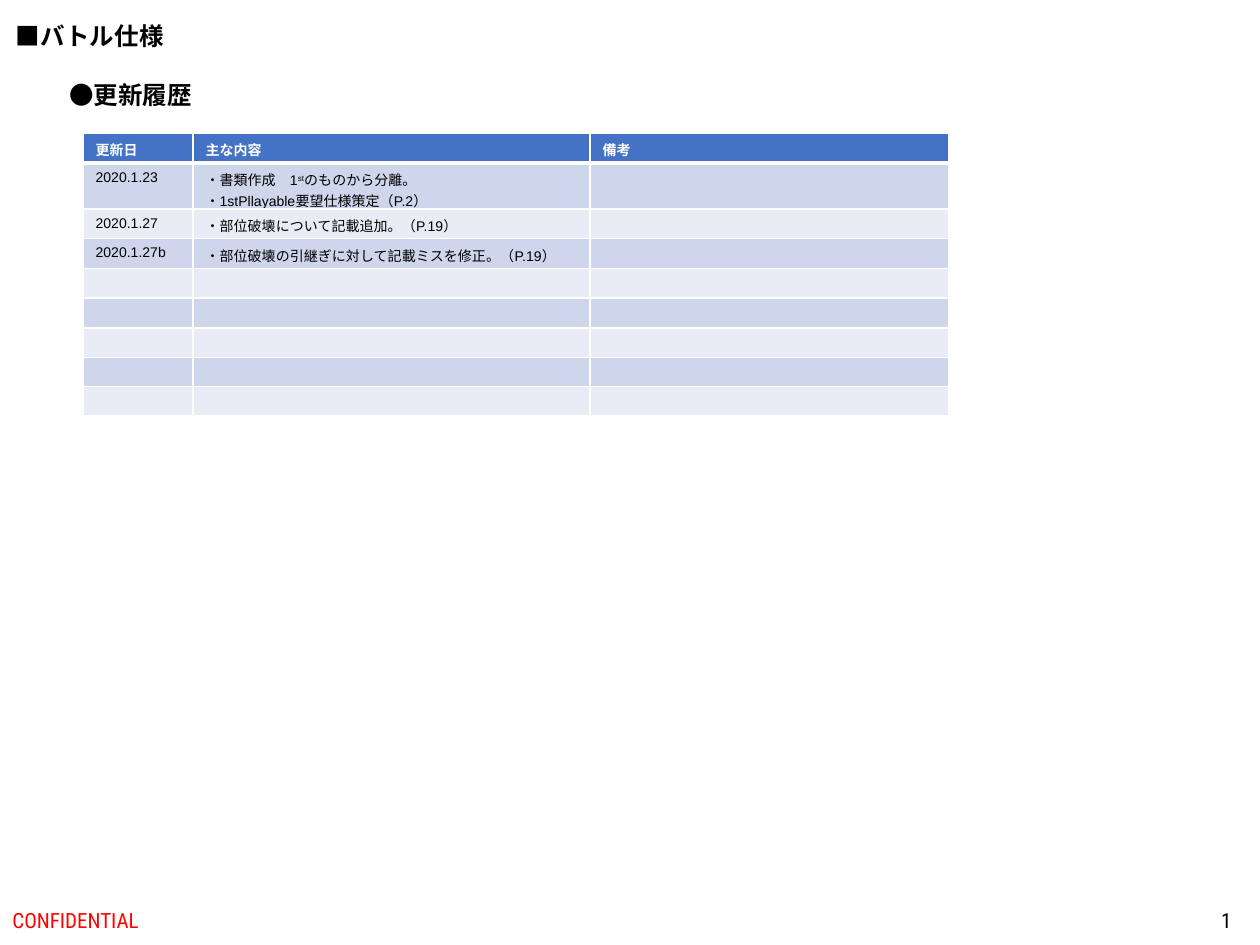
from lxml import etree
from pptx import Presentation
from pptx.dml.color import RGBColor
from pptx.enum.text import MSO_ANCHOR, MSO_AUTO_SIZE, PP_ALIGN
from pptx.oxml.ns import qn
from pptx.util import Pt

PX = 914400 // 126
TOP, MIDDLE = MSO_ANCHOR.TOP, MSO_ANCHOR.MIDDLE
LEFT, RIGHT = PP_ALIGN.LEFT, PP_ALIGN.RIGHT
FIT_SHAPE, FIT_NONE = MSO_AUTO_SIZE.SHAPE_TO_FIT_TEXT, MSO_AUTO_SIZE.NONE

BLACK = RGBColor(0x00, 0x00, 0x00)
WHITE = RGBColor(0xFF, 0xFF, 0xFF)
RED = RGBColor(0xFF, 0x00, 0x00)
HEADER_BLUE = RGBColor(0x44, 0x72, 0xC4)
BANDS = (RGBColor(0xCF, 0xD5, 0xEA), RGBColor(0xE9, 0xEB, 0xF5))

COLUMN_WIDTHS = (110, 397, 359)
ROW_HEIGHTS = (30, 46, 29, 30, 29, 30, 29, 29, 29)
HEADINGS = ("更新日", "主な内容", "備考")
UPDATES = (
    ("2020.1.23", (("・書類作成\u30001", "^st", "のものから分離。"),
                   ("・1stPllayable要望仕様策定（P.2）",))),
    ("2020.1.27", (("・部位破壊について記載追加。（P.19）",),)),
    ("2020.1.27b", (("・部位破壊の引継ぎに対して記載ミスを修正。（P.19）",),)),
)


def place(shape, box):
    """Move and size a shape to a pixel box."""
    for name, value in zip(("left", "top", "width", "height"), box):
        setattr(shape, name, value * PX)


def add_span(para, text, color, **formats):
    """Append a formatted run to a paragraph."""
    span = para.add_run()
    span.text = text
    for name, value in formats.items():
        setattr(span.font, name, value)
    span.font.color.rgb = color
    return span


def write_label(shape, box, text, font, size, color, bold=False,
                align=LEFT, anchor=TOP, wrap=False):
    """Fill a text shape with one formatted line."""
    place(shape, box)
    frame = shape.text_frame
    settings = {"word_wrap": wrap, "vertical_anchor": anchor,
                "auto_size": FIT_NONE if wrap else FIT_SHAPE}
    for name, value in settings.items():
        setattr(frame, name, value)
    para = frame.paragraphs[0]
    para.alignment = align
    add_span(para, text, color, name=font, size=Pt(size), bold=bold)


def add_headings(page):
    """Write the slide title and the section heading."""
    write_label(page.shapes.title, (3, 15, 174, 43), "■バトル仕様",
                "Arial", 14, BLACK, bold=True)
    write_label(page.shapes.add_textbox(0, 0, 0, 0), (57, 74, 149, 43),
                "●更新履歴", "Quicksand", 14, BLACK, bold=True)


def add_footer(page, box):
    """Write the confidentiality mark and the page number."""
    left, top, width, height = box
    number_width = 284
    parts = (
        (left, 426, "CONFIDENTIAL", RED, LEFT),
        (left + width - number_width, number_width, "1", BLACK, RIGHT),
    )
    for part_left, part_width, text, color, align in parts:
        write_label(page.shapes.add_textbox(0, 0, 0, 0),
                    (part_left, top, part_width, height), text,
                    "Roboto Condensed", 12, color,
                    align=align, anchor=MIDDLE, wrap=True)


def style_cell(cell, fill, bottom_width):
    """Give a cell white borders and a solid fill."""
    properties = cell._tc.get_or_add_tcPr()
    for side in ("lnL", "lnR", "lnT", "lnB"):
        width = bottom_width if side == "lnB" else 1
        line = etree.SubElement(properties, qn(f"a:{side}"), w=str(Pt(width)))
        solid = etree.SubElement(line, qn("a:solidFill"))
        etree.SubElement(solid, qn("a:srgbClr"), val=str(WHITE))
    cell.fill.solid()
    cell.fill.fore_color.rgb = fill


def write_cell(cell, lines, color, bold):
    """Write lines of spans, where a leading caret marks superscript."""
    frame = cell.text_frame
    for index, line in enumerate(lines):
        para = frame.add_paragraph() if index else frame.paragraphs[0]
        for text in line:
            span = add_span(para, text.lstrip("^"), color,
                            name="Arial", size=Pt(8), bold=bold)
            if text.startswith("^"):
                span.font._element.set("baseline", "30000")
    if not lines:
        etree.SubElement(frame.paragraphs[0]._p, qn("a:endParaRPr"), sz="800")


def add_history(page, box):
    """Build the update history table."""
    frame = page.shapes.add_table(len(ROW_HEIGHTS), len(COLUMN_WIDTHS),
                                  *(value * PX for value in box))
    table = frame.table
    for column, width in zip(table.columns, COLUMN_WIDTHS):
        column.width = width * PX
    rows = [[((heading,),) for heading in HEADINGS]]
    rows += [[((date,),), lines, ()] for date, lines in UPDATES]
    rows += [[(), (), ()]] * (len(ROW_HEIGHTS) - len(rows))
    for index, (row, height) in enumerate(zip(rows, ROW_HEIGHTS)):
        table.rows[index].height = height * PX
        header = index == 0
        fill = HEADER_BLUE if header else BANDS[(index - 1) % 2]
        for column, lines in enumerate(row):
            cell = table.cell(index, column)
            style_cell(cell, fill, 3 if header else 1)
            write_cell(cell, lines, WHITE if header else BLACK, header)


def main():
    """Build the update history slide."""
    deck = Presentation()
    deck.slide_width, deck.slide_height = 1260 * PX, 945 * PX
    page = deck.slides.add_slide(deck.slide_layouts[5])
    add_headings(page)
    add_footer(page, (0, 895, 1244, 50))
    add_history(page, (83, 133, sum(COLUMN_WIDTHS), sum(ROW_HEIGHTS)))
    deck.save("out.pptx")


if __name__ == "__main__":
    main()
